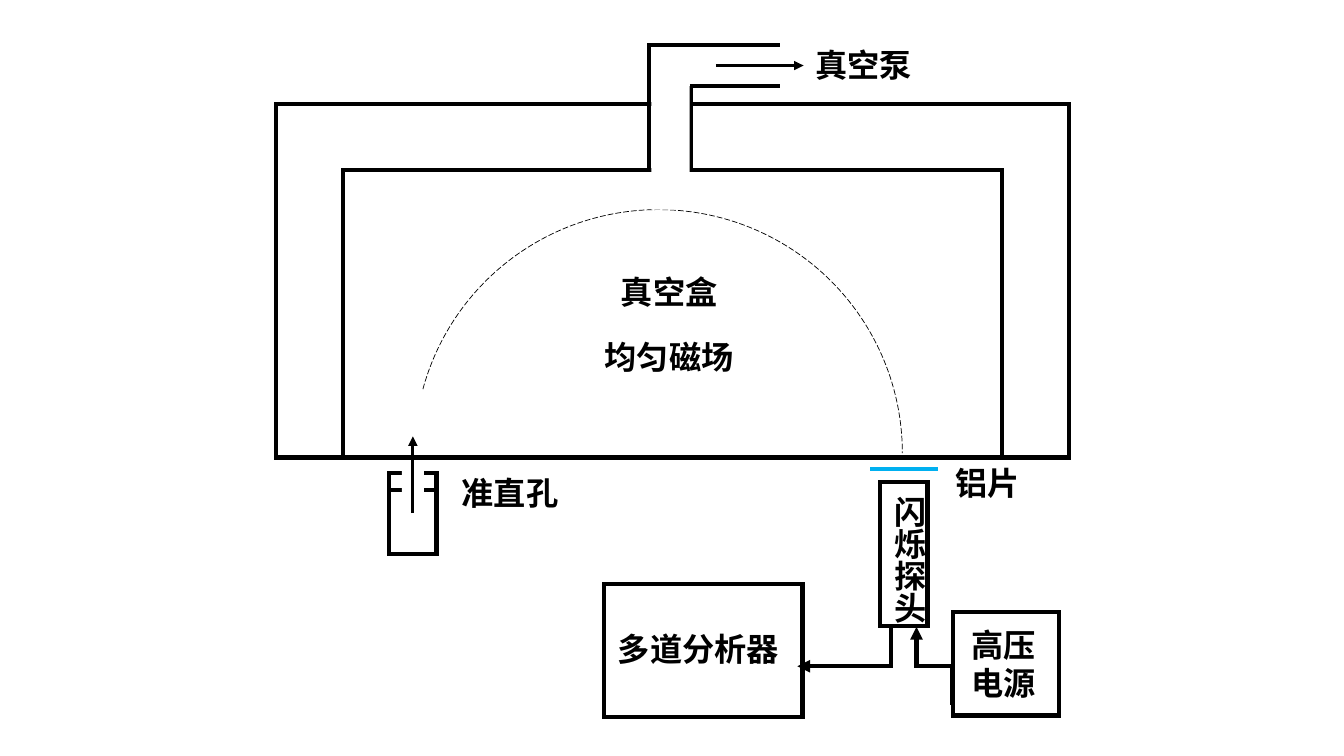
import pptx
import pptx.dml.color
import pptx.enum.dml
import pptx.enum.shapes
import pptx.enum.text
import pptx.oxml
import pptx.oxml.ns
import pptx.util

FONT = "Noto Sans CJK SC"
BLACK = "000000"
WHITE = "FFFFFF"
BLUE = "00B0F0"
SHAPES = pptx.enum.shapes.MSO_SHAPE
CONNECTORS = pptx.enum.shapes.MSO_CONNECTOR
Inches = pptx.util.Inches


def color(value):
    return pptx.dml.color.RGBColor.from_string(value)


def add_element(parent, tag, **attributes):
    element = pptx.oxml.parse_xml(f"<{tag} {pptx.oxml.ns.nsdecls('a')}/>")
    for name, value in attributes.items():
        element.set(name, value)
    parent.append(element)


def style_line(line, weight=3, stroke=BLACK, dash=None, arrow=False):
    line.width = pptx.util.Pt(weight)
    line.color.rgb = color(stroke)
    if dash is not None:
        line.dash_style = dash
    outline = line.fill._xPr
    add_element(outline, "a:miter", lim="800000")
    if arrow:
        add_element(outline, "a:tailEnd", type="triangle")


def add_outline(page, left, top, width, height, kind=SHAPES.RECTANGLE, **line_style):
    shape = page.shapes.add_shape(
        kind, Inches(left), Inches(top), Inches(width), Inches(height))
    shape.shadow.inherit = False
    shape.fill.background()
    style_line(shape.line, **line_style)
    return shape


def add_gap(page, left, top, width, height):
    gap = page.shapes.add_shape(
        SHAPES.RECTANGLE, Inches(left), Inches(top), Inches(width), Inches(height))
    gap.shadow.inherit = False
    gap.fill.solid()
    gap.fill.fore_color.rgb = color(WHITE)
    gap.line.fill.background()


def add_line(page, start, end, kind=CONNECTORS.STRAIGHT, **line_style):
    connector = page.shapes.add_connector(kind, *map(Inches, start + end))
    style_line(connector.line, **line_style)
    add_element(connector._element.spPr, "a:effectLst")
    return connector


def add_elbow(page, start, end, bend, turn=0):
    connector = add_line(page, start, end, kind=CONNECTORS.ELBOW, arrow=True)
    properties = connector._element.spPr
    guides = properties.find(pptx.oxml.ns.qn("a:prstGeom")).get_or_add_avLst()
    add_element(guides, "a:gd", name="adj1", fmla=f"val {round(bend * 100000)}")
    if turn:
        properties.find(pptx.oxml.ns.qn("a:xfrm")).set("rot", str(turn * 60000))


def add_label(page, text, left, top, width, height=0.5, wrap=False, vertical=False):
    box = page.shapes.add_textbox(
        Inches(left), Inches(top), Inches(width), Inches(height))
    frame = box.text_frame
    frame.text = text
    frame.word_wrap = wrap
    frame.auto_size = pptx.enum.text.MSO_AUTO_SIZE.SHAPE_TO_FIT_TEXT
    if vertical:
        frame._txBody.bodyPr.set("vert", "eaVert")
    span = frame.paragraphs[0].runs[0]
    span.font.size = pptx.util.Pt(23)
    span.font.bold = True
    span.font.name = FONT
    span.font.color.rgb = color(BLACK)
    add_element(span.font._element, "a:ea", typeface=FONT)


def add_chamber(page, left, top, width, height):
    wall = 0.66
    add_outline(page, left, top, width, height)
    add_outline(page, left + wall, top + wall, width - 2 * wall, height - wall)
    track = add_outline(
        page, left + 1.37, top + 1.05, 4.84, 4.83, kind=SHAPES.ARC,
        weight=0.5, dash=pptx.enum.dml.MSO_LINE.LONG_DASH)
    track.adjustments[0] = 117.105
    track.adjustments[1] = 0
    add_label(page, "真空盒", left + 3.32, top + 1.62, 1.21)
    add_label(page, "均匀磁场", left + 3.16, top + 2.27, 1.55)


def add_pump(page, left, top, width, height):
    bottom = top + height
    inner = left + 0.41
    add_line(page, (left, top), (left, bottom))
    add_line(page, (inner, top + 0.41), (inner, bottom))
    add_line(page, (left - 0.02, top + 0.01), (left + width, top + 0.01))
    add_line(page, (inner - 0.01, top + 0.41), (left + width, top + 0.41))
    add_gap(page, left + 0.02, top + 0.3, 0.38, 1.34)
    add_line(page, (left + 0.66, top + 0.21), (left + 1.53, top + 0.21),
             weight=2.25, arrow=True)
    add_label(page, "真空泵", left + 1.55, top - 0.04, 1.21)


def add_source(page, left, top, width, height):
    center = left + width / 2
    add_outline(page, left, top, width, height)
    add_line(page, (left, top + 0.17), (left + width, top + 0.17))
    add_gap(page, center - 0.11, top - 0.04, 0.22, 0.76)
    add_line(page, (center, top + 0.4), (center, top - 0.36), weight=2.25, arrow=True)
    add_label(page, "准直孔", left + 0.62, top - 0.04, 1.22)


def add_detector(page, left, top, width, height):
    add_outline(page, left, top, width, height)
    add_label(page, "闪烁探头", left - 0.06, top + 0.04, 0.59, 1.37, vertical=True)
    add_line(page, (left - 0.1, top - 0.13), (left + 0.57, top - 0.13), stroke=BLUE)
    add_label(page, "铝片", left + 0.65, top - 0.23, 0.85, 0.49)
    bottom = top + height
    add_elbow(page, (left + 0.04, bottom), (left - 0.82, bottom + 0.4), bend=-0.08)
    add_elbow(page, (left + 0.15, bottom + 0.57), (left + 0.92, bottom + 0.22),
              bend=0.5, turn=270)


def add_analyzer(page, left, top, width, height):
    add_outline(page, left, top, width, height)
    add_label(page, "多道分析器", left + 0.04, top + 0.4, 1.88)


def add_power_supply(page, left, top, width, height):
    add_outline(page, left, top, width, height)
    add_label(page, "高压电源", left + 0.09, top + 0.08, 0.86, 0.88, wrap=True)


def main():
    deck = pptx.Presentation()
    deck.slide_width = Inches(13.33)
    deck.slide_height = Inches(7.5)
    page = deck.slides.add_slide(deck.slide_layouts[6])
    add_chamber(page, 2.74, 1.03, 7.86, 3.51)
    add_pump(page, 6.44, 0.44, 1.3, 1.25)
    add_source(page, 3.86, 4.69, 0.47, 0.81)
    add_analyzer(page, 5.99, 5.79, 1.97, 1.32)
    add_power_supply(page, 9.45, 6.07, 1.05, 1.03)
    add_detector(page, 8.73, 4.78, 0.47, 1.43)
    deck.save("out.pptx")


if __name__ == "__main__":
    main()
